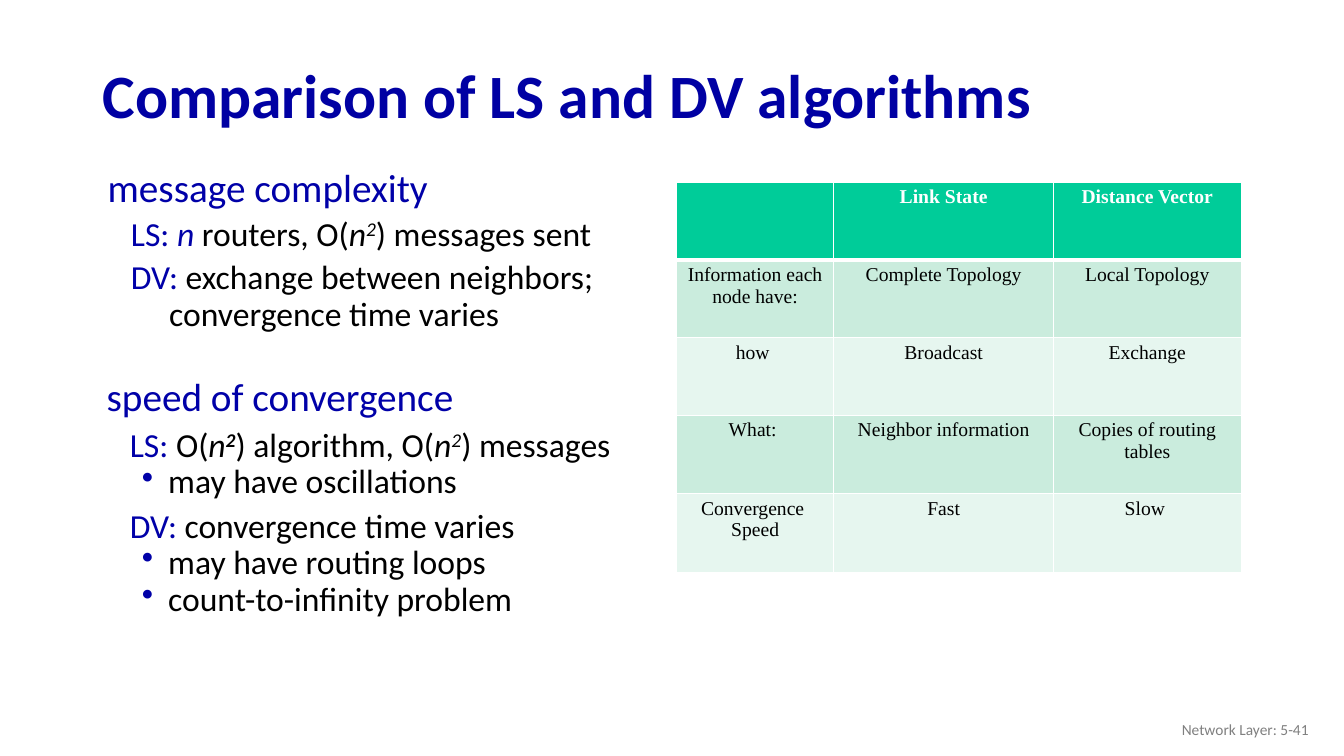
"""Build a slide that compares link state and distance vector routing."""
from dataclasses import dataclass

from lxml import etree
from pptx import Presentation
from pptx import util as u
from pptx.dml import color
from pptx.enum import text
from pptx.oxml import ns

HUES = {"title": "0000A3", "blue": "0000A8", "black": "000000", "gray": "808080",
        "white": "FFFFFF", "head": "00CC99", "odd": "CAECDD", "even": "E6F6EF"}
LEFT, MID, RIGHT = text.PP_ALIGN.LEFT, text.PP_ALIGN.CENTER, text.PP_ALIGN.RIGHT


@dataclass
class Bit:
    words: str
    hue: str = "black"
    ital: bool = False
    bold: bool = False
    sup: bool = False


@dataclass
class Line:
    bits: list[Bit]
    size: float = 24
    left: float = 0.76
    hang: float = -0.38
    gap: float = 0
    level: int = 0
    dot: bool = False


@dataclass
class Box:
    at: tuple[float, float, float, float]
    lines: list[Line]


def rgb(hue: str) -> color.RGBColor:
    return color.RGBColor.from_string(HUES[hue])


def say(par, words: str, *, size: float, hue: str = "black", face: str = "Calibri",
        bold: bool = False, ital: bool = False, sup: bool = False) -> None:
    run = par.add_run()
    run.text = words
    font = run.font
    font.name, font.size, font.bold, font.italic = face, u.Pt(size), bold, ital
    font.color.rgb = rgb(hue)
    if sup:
        run._r.get_or_add_rPr().set("baseline", "30000")


def paint(root, tag: str, hue: str) -> None:
    node = etree.SubElement(root, ns.qn(tag))
    etree.SubElement(node, ns.qn("a:srgbClr"), val=HUES[hue])


def frame(slide, at: tuple[float, float, float, float], mid: bool = False):
    body = slide.shapes.add_textbox(*map(u.Inches, at)).text_frame
    body.word_wrap = True
    body.vertical_anchor = text.MSO_ANCHOR.MIDDLE if mid else text.MSO_ANCHOR.TOP
    return body


def label(slide, at: tuple[float, float, float, float], words: str, size: float,
          hue: str, bold: bool = False, align=LEFT) -> None:
    par = frame(slide, at, mid=True).paragraphs[0]
    par.alignment, par.line_spacing = align, 0.9
    say(par, words, size=size, hue=hue, bold=bold)


def write(slide, box: Box) -> None:
    body = frame(slide, box.at)
    for i, line in enumerate(box.lines):
        par = body.add_paragraph() if i else body.paragraphs[0]
        props = par._p.get_or_add_pPr()
        props.set("marL", str(u.Inches(line.left)))
        props.set("indent", str(u.Inches(line.hang)))
        if line.dot:
            paint(props, "a:buClr", "blue")
            etree.SubElement(props, ns.qn("a:buChar"), char="•")
        par.level, par.line_spacing, par.space_before = line.level, 0.9, u.Pt(line.gap)
        for bit in line.bits:
            say(par, bit.words, size=line.size, hue=bit.hue, bold=bit.bold,
                ital=bit.ital, sup=bit.sup)


def edge(cell, side: str, width: float) -> None:
    line = etree.SubElement(cell._tc.get_or_add_tcPr(), ns.qn(f"a:ln{side}"),
                            w=str(u.Pt(width)))
    paint(line, "a:solidFill", "white")


def fill(cell, words: str, row: int) -> None:
    cell.margin_left = cell.margin_right = u.Inches(0.07)
    cell.margin_top = cell.margin_bottom = u.Inches(0.04)
    for side in "LRTB":
        thick = (row, side) in ((0, "B"), (1, "T"))
        edge(cell, side, 3 if thick else 1)
    cell.fill.solid()
    cell.fill.fore_color.rgb = rgb("head" if row == 0 else "odd" if row % 2 else "even")
    body = cell.text_frame
    for i, piece in enumerate(words.split("\n") if words else []):
        par = body.add_paragraph() if i else body.paragraphs[0]
        par.alignment = MID
        say(par, piece, size=14, face="Times New Roman", bold=row == 0,
            hue="black" if row else "white")


def grid(slide, left: float, top: float, cols: list[float], rows: list[float],
         data: list[list[str]]) -> None:
    size = left, top, sum(cols), sum(rows)
    table = slide.shapes.add_table(len(rows), len(cols), *map(u.Inches, size)).table
    for col, width in zip(table.columns, cols):
        col.width = u.Inches(width)
    for row, height in zip(table.rows, rows):
        row.height = u.Inches(height)
    for r, row in enumerate(data):
        for c, words in enumerate(row):
            fill(table.cell(r, c), words, r)


def head(words: str) -> Line:
    return Line([Bit(words, "blue")], size=28, left=0.39, hang=-0.24)


def dot(words: str) -> Line:
    return Line([Bit(words)], hang=-0.26, level=1, dot=True)


N, TWO = Bit("n", ital=True), Bit("2", ital=True, sup=True)
LS, DV = Bit("LS: ", "blue"), Bit("DV: ", "blue")
BOXES = [
    Box((0.82, 1.62, 5.65, 1.77), [
        head("message complexity"),
        Line([LS, Bit("n ", "blue", ital=True), Bit("routers, O("), N, TWO,
              Bit(") messages sent")], gap=5, level=1),
        Line([DV, Bit("exchange between neighbors; convergence time varies")],
             gap=5, level=1)]),
    Box((0.81, 3.7, 5.59, 2.59), [
        head("speed of convergence"),
        Line([LS, Bit("O("), N, Bit("2", ital=True, bold=True, sup=True),
              Bit(") algorithm, O("), N, TWO, Bit(") messages")], gap=6),
        dot("may have oscillations"),
        Line([DV, Bit("convergence time varies")], gap=6),
        dot("may have routing loops"),
        dot("count-to-infinity problem")]),
]
DATA = [
    ["", "Link State", "Distance Vector"],
    ["Information each node have:", "Complete Topology", "Local Topology"],
    ["how ", "Broadcast", "Exchange"],
    ["What: ", "Neighbor information", "Copies of routing tables"],
    ["Convergence \nSpeed", "Fast", "Slow "],
]


def main() -> None:
    deck = Presentation()
    deck.slide_width, deck.slide_height = u.Inches(13.33), u.Inches(7.5)
    slide = deck.slides.add_slide(deck.slide_layouts[6])
    label(slide, (0.92, 0.49, 11.5, 0.98), "Comparison of LS and DV algorithms",
          44, "title", bold=True)
    label(slide, (10.08, 7.05, 3, 0.4), "Network Layer: 5-41", 11, "gray", align=RIGHT)
    for box in BOXES:
        write(slide, box)
    grid(slide, 6.71, 1.81, [1.56, 2.18, 1.86], [0.77] * 3 + [0.78] * 2, DATA)
    deck.save("out.pptx")


if __name__ == "__main__":
    main()
